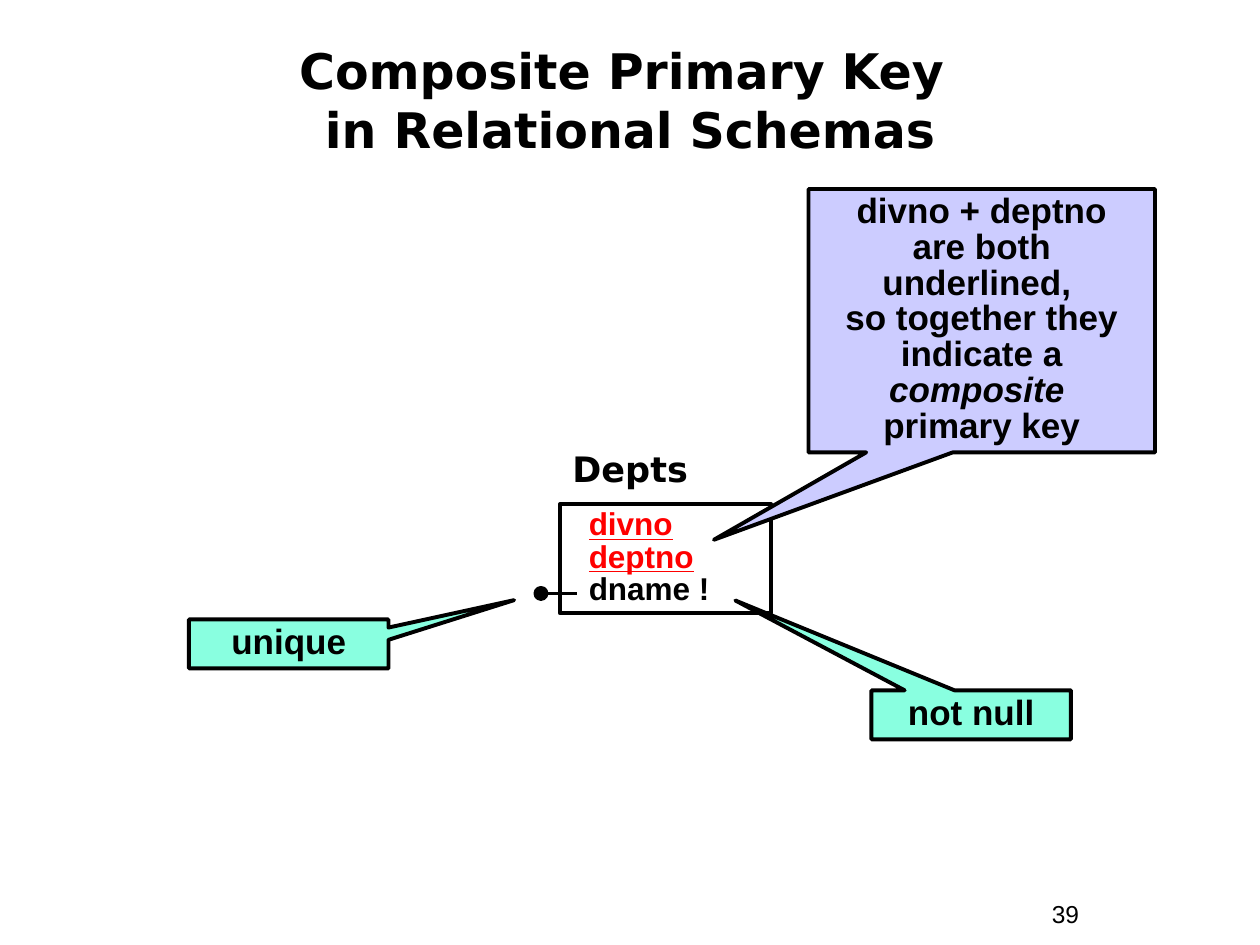
from dataclasses import dataclass

import pptx
import pptx.dml.color
import pptx.enum.shapes
import pptx.enum.text
import pptx.oxml.ns
import pptx.util
from lxml import etree

Pt = pptx.util.Pt
Align = pptx.enum.text.PP_ALIGN
Anchor = pptx.enum.text.MSO_ANCHOR
ShapeType = pptx.enum.shapes.MSO_SHAPE
BLACK = "000000"
RED = "FF0000"
LAVENDER = "CCCCFF"
MINT = "89FFE0"
LINE_WIDTH = 2.25
BREAK = "\n"


@dataclass(frozen=True)
class Run:
    text: str
    color: str = BLACK
    bold: bool = True
    italic: bool = False
    underline: bool = False


@dataclass(frozen=True)
class Box:
    left: float
    top: float
    width: float
    height: float

    def lengths(self) -> tuple:
        return tuple(Pt(value) for value in (self.left, self.top, self.width, self.height))


@dataclass(frozen=True)
class Callout:
    box: Box
    tip: tuple[float, float]
    fill: str
    runs: tuple[Run, ...]


CALLOUTS = (
    Callout(Box(462, 108, 198, 150.5), (-0.773, 0.832), LAVENDER, (
        Run("divno + deptno\nare both underlined, \nso together they indicate a "),
        Run("composite \n", italic=True),
        Run("primary key"),
    )),
    Callout(Box(108, 354, 114, 28), (1.13, -0.894), MINT, (Run("unique"),)),
    Callout(Box(498, 394.5, 114, 28), (-1.182, -2.333), MINT, (Run("not null"),)),
)


def rgb(color: str) -> pptx.dml.color.RGBColor:
    return pptx.dml.color.RGBColor.from_string(color)


def prepare_frame(shape, anchor=Anchor.TOP) -> None:
    frame = shape.text_frame
    frame.word_wrap = True
    frame.auto_size = pptx.enum.text.MSO_AUTO_SIZE.NONE
    frame.vertical_anchor = anchor
    frame.margin_left = frame.margin_right = Pt(7.2)
    frame.margin_top = frame.margin_bottom = Pt(3.6)


def write_paragraph(paragraph, runs, size: float, font: str = "Arial",
                    align=Align.LEFT, spacing: float = 1.0) -> None:
    paragraph.alignment = align
    paragraph.line_spacing = spacing
    for item in runs:
        for index, text in enumerate(item.text.split(BREAK)):
            if index:
                paragraph.add_line_break()
            if text:
                run = paragraph.add_run()
                run.text = text
                run.font.name = font
                run.font.size = Pt(size)
                run.font.bold = item.bold
                run.font.italic = item.italic
                run.font.underline = item.underline
                run.font.color.rgb = rgb(item.color)


def add_label(slide, box: Box, run: Run, size: float, font: str) -> None:
    label = slide.shapes.add_textbox(*box.lengths())
    prepare_frame(label)
    write_paragraph(label.text_frame.paragraphs[0], [run], size, font)


def add_outlined(shapes, kind, box: Box, fill: str | None = None):
    shape = shapes.add_shape(kind, *box.lengths())
    shape.shadow.inherit = False
    if fill:
        shape.fill.solid()
        shape.fill.fore_color.rgb = rgb(fill)
    else:
        shape.fill.background()
    shape.line.color.rgb = rgb(BLACK)
    shape.line.width = Pt(LINE_WIDTH)
    prepare_frame(shape)
    return shape


def add_title(slide) -> None:
    title = slide.shapes.title
    title.left, title.top, title.width, title.height = Box(24, 24, 672, 66).lengths()
    prepare_frame(title, Anchor.MIDDLE)
    write_paragraph(title.text_frame.paragraphs[0],
                    [Run("Composite Primary Key \nin Relational Schemas")],
                    28, "DejaVu Sans", Align.CENTER)


def add_entity(slide) -> None:
    entity = add_outlined(slide.shapes, ShapeType.RECTANGLE, Box(320, 288, 120.5, 62.5))
    frame = entity.text_frame
    key_runs = (Run("divno\ndeptno", RED, underline=True),)
    for paragraph, runs in ((frame.paragraphs[0], key_runs),
                            (frame.add_paragraph(), (Run("dname !"),))):
        properties = paragraph._p.get_or_add_pPr()
        properties.set("marL", str(Pt(9.36)))
        properties.set("indent", "0")
        write_paragraph(paragraph, runs, 18, spacing=0.85)


def add_callout(slide, callout: Callout) -> None:
    shape = add_outlined(slide.shapes, ShapeType.RECTANGULAR_CALLOUT, callout.box, callout.fill)
    shape.adjustments[0], shape.adjustments[1] = callout.tip
    write_paragraph(shape.text_frame.paragraphs[0], callout.runs, 20,
                    align=Align.CENTER, spacing=0.85)


def add_unique_marker(slide) -> None:
    marker = slide.shapes.add_group_shape()
    add_outlined(marker.shapes, ShapeType.OVAL, Box(306, 336, 6.3, 6.3), BLACK)
    stem = marker.shapes.add_connector(pptx.enum.shapes.MSO_CONNECTOR.STRAIGHT,
                                       Pt(312), Pt(339.15), Pt(330), Pt(339.15))
    stem.line.color.rgb = rgb(BLACK)
    stem.line.width = Pt(LINE_WIDTH)
    etree.SubElement(stem._element.spPr, pptx.oxml.ns.qn("a:effectLst"))


def main() -> None:
    presentation = pptx.Presentation()
    presentation.slide_width = Pt(720)
    presentation.slide_height = Pt(540)
    slide = presentation.slides.add_slide(presentation.slide_layouts.get_by_name("Title Only"))
    add_title(slide)
    add_label(slide, Box(594, 510, 66, 24.5), Run("39", bold=False), 14, "Arial")
    add_label(slide, Box(320, 252, 155, 31.5), Run("Depts"), 20, "DejaVu Sans")
    add_entity(slide)
    main_callout, *constraint_callouts = CALLOUTS
    add_callout(slide, main_callout)
    add_unique_marker(slide)
    for callout in constraint_callouts:
        add_callout(slide, callout)
    presentation.save("out.pptx")


if __name__ == "__main__":
    main()
